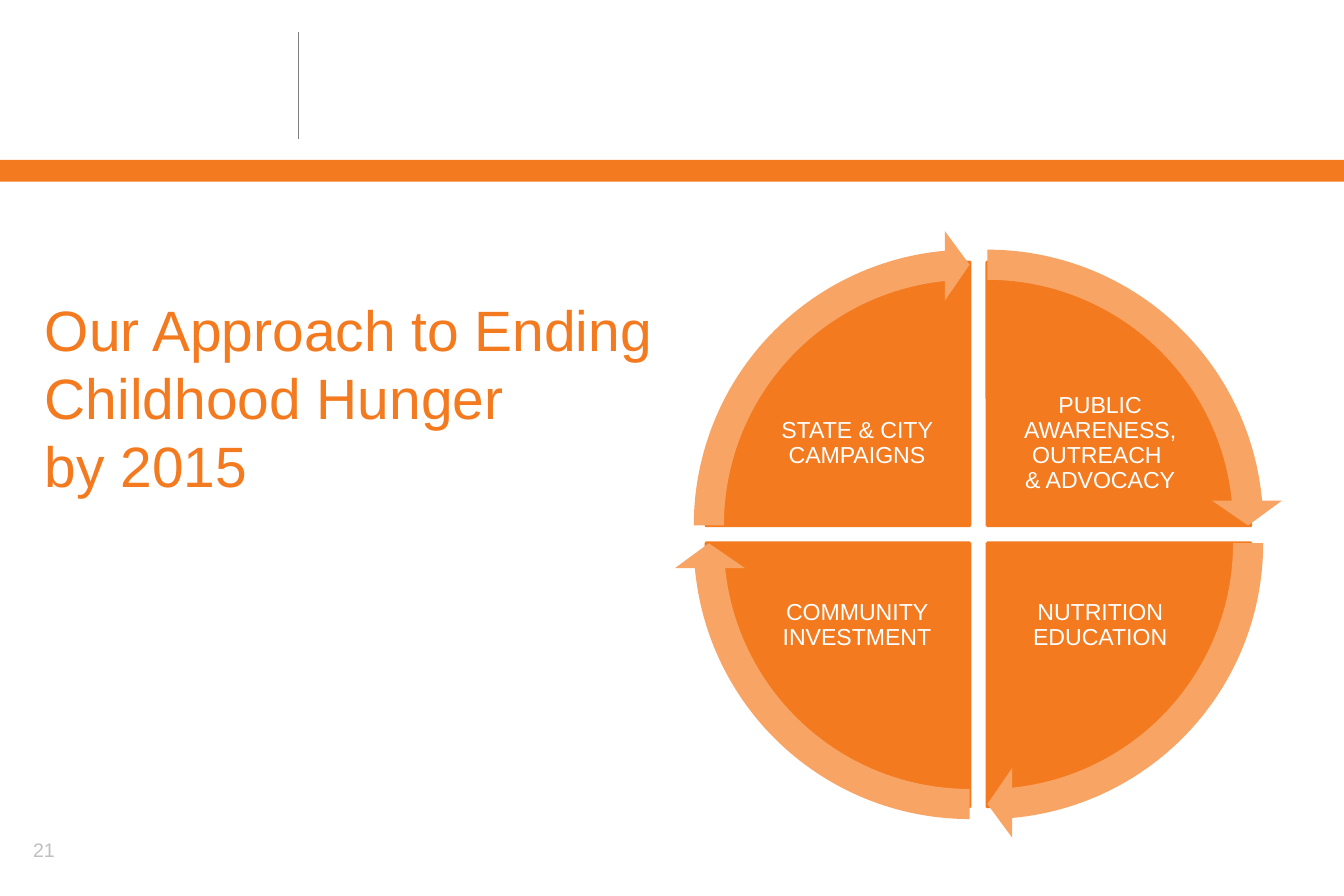
from dataclasses import dataclass

from lxml.etree import SubElement
from pptx import Presentation
from pptx.dml.color import RGBColor
from pptx.enum.shapes import MSO_CONNECTOR, MSO_SHAPE
from pptx.enum.text import MSO_ANCHOR, MSO_AUTO_SIZE, PP_ALIGN
from pptx.oxml.ns import qn
from pptx.util import Pt


@dataclass(frozen=True)
class Theme:
    font: str = "Arial"
    orange: RGBColor = RGBColor(0xF3, 0x7A, 0x1F)
    light_orange: RGBColor = RGBColor(0xF7, 0xA4, 0x65)
    white: RGBColor = RGBColor(0xFF, 0xFF, 0xFF)
    divider_gray: RGBColor = RGBColor(0x7F, 0x7F, 0x7F)
    number_gray: RGBColor = RGBColor(0xBF, 0xBF, 0xBF)
    title_size: int = 32
    label_size: int = 13
    number_size: int = 11


THEME = Theme()
SLIDE_WIDTH, SLIDE_HEIGHT = 756, 504

# Wheel geometry in points; angles in the shapes' units, 54 to a quarter turn
HUB_X, HUB_Y = 550.4, 300.6
HALF_GAP = 5
PIE_DIAMETER = 296
ARROW_DIAMETER = 332.6
LABEL_OFFSET_X, LABEL_OFFSET_Y = 68.4, 51.1
LABEL_WIDTH, LABEL_HEIGHT = 109.4, 80.6
QUARTER, FULL_TURN = 54, 216
ARROW_SWEEP = 50.725

# Label, horizontal side, vertical side, start angle
QUADRANTS = [
    ("PUBLIC AWARENESS, OUTREACH \v& ADVOCACY", 1, -1, 162),
    ("NUTRITION EDUCATION", 1, 1, 0),
    ("COMMUNITY INVESTMENT", -1, 1, 54),
    ("STATE & CITY CAMPAIGNS", -1, -1, 108),
]


def apply_format(target, values):
    for name, value in values.items():
        setattr(target, name, value)


def centered_box(center_x, center_y, width, height):
    return (Pt(center_x - width / 2), Pt(center_y - height / 2),
            Pt(width), Pt(height))


def write_text(shape, text, size, color, frame_format, paragraph_format):
    frame = shape.text_frame
    frame.text = text
    apply_format(frame, {"word_wrap": True, "auto_size": MSO_AUTO_SIZE.NONE})
    apply_format(frame, frame_format)
    for paragraph in frame.paragraphs:
        apply_format(paragraph, paragraph_format)
        for run in paragraph.runs:
            apply_format(run.font, {"name": THEME.font, "size": Pt(size)})
            run.font.color.rgb = color


def add_filled_shape(slide, kind, box, color, adjustments=(), line_width=0):
    shape = slide.shapes.add_shape(kind, *box)
    shape.shadow.inherit = False
    shape.fill.solid()
    shape.fill.fore_color.rgb = color
    if line_width:
        shape.line.color.rgb = color
        shape.line.width = Pt(line_width)
    else:
        shape.line.fill.background()
    for index, value in enumerate(adjustments):
        shape.adjustments[index] = value


def add_header(slide):
    add_filled_shape(slide, MSO_SHAPE.RECTANGLE,
                     (0, Pt(90), Pt(SLIDE_WIDTH), Pt(12.2)), THEME.orange)
    divider = slide.shapes.add_connector(
        MSO_CONNECTOR.STRAIGHT, Pt(167.8), Pt(18), Pt(167.8), Pt(78))
    divider.line.color.rgb = THEME.divider_gray
    divider.line.width = Pt(0.75)
    SubElement(divider._element.spPr, qn("a:effectLst"))


def set_title(slide, text):
    title = slide.shapes.title
    apply_format(title, {"left": Pt(18), "top": Pt(162),
                         "width": Pt(699), "height": Pt(82)})
    write_text(title, text, THEME.title_size, THEME.orange,
               {"vertical_anchor": MSO_ANCHOR.TOP},
               {"alignment": PP_ALIGN.LEFT})


def add_page_number(slide, number):
    box = slide.shapes.add_textbox(Pt(11.5), Pt(468), Pt(68.4), Pt(20.9))
    write_text(box, number, THEME.number_size, THEME.number_gray, {}, {})


def add_wheel(slide):
    """Draw the quarters with their labels, then the arrows over them."""
    for text, side_x, side_y, start in QUADRANTS:
        pie_box = centered_box(HUB_X + side_x * HALF_GAP,
                               HUB_Y + side_y * HALF_GAP,
                               PIE_DIAMETER, PIE_DIAMETER)
        add_filled_shape(slide, MSO_SHAPE.PIE, pie_box, THEME.orange,
                         (start, (start + QUARTER) % FULL_TURN), line_width=2)
        label = slide.shapes.add_textbox(*centered_box(
            HUB_X + side_x * LABEL_OFFSET_X, HUB_Y + side_y * LABEL_OFFSET_Y,
            LABEL_WIDTH, LABEL_HEIGHT))
        margins = {f"margin_{side}": Pt(1.3)
                   for side in ("left", "top", "right", "bottom")}
        write_text(label, text, THEME.label_size, THEME.white,
                   {"vertical_anchor": MSO_ANCHOR.MIDDLE, **margins},
                   {"alignment": PP_ALIGN.CENTER, "line_spacing": 0.9})

    for _, side_x, side_y, start in QUADRANTS:
        arrow_box = centered_box(HUB_X + side_x * HALF_GAP,
                                 HUB_Y + side_y * HALF_GAP,
                                 ARROW_DIAMETER, ARROW_DIAMETER)
        add_filled_shape(slide, MSO_SHAPE.CIRCULAR_ARROW, arrow_box,
                         THEME.light_orange,
                         (0.051, 3.275, start + ARROW_SWEEP, start, 0.059))


def main():
    presentation = Presentation()
    presentation.slide_width = Pt(SLIDE_WIDTH)
    presentation.slide_height = Pt(SLIDE_HEIGHT)
    title_only = presentation.slide_layouts[5]
    slide = presentation.slides.add_slide(title_only)
    add_header(slide)
    add_page_number(slide, "21")
    add_wheel(slide)
    set_title(slide, "Our Approach to Ending \vChildhood Hunger\vby 2015")
    presentation.save("out.pptx")


if __name__ == "__main__":
    main()
